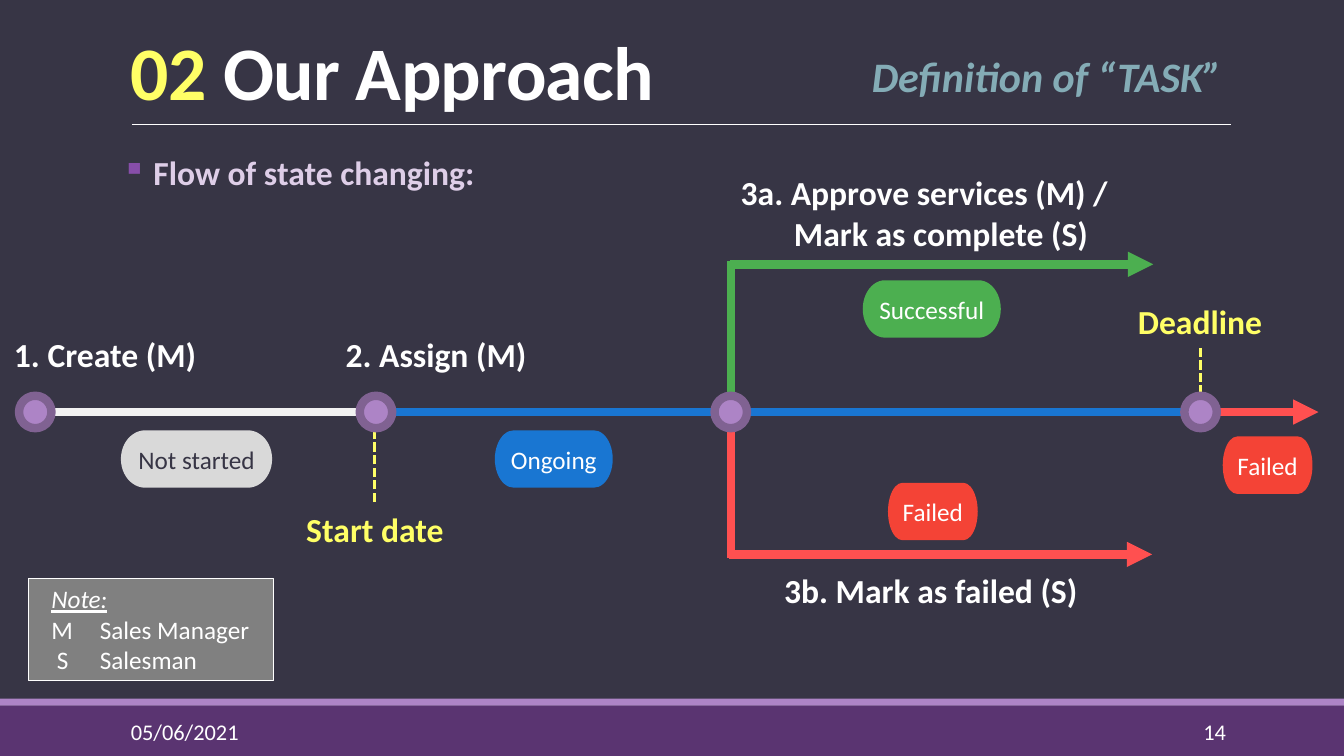
"""Build the task state flow slide."""
from dataclasses import dataclass

from lxml.etree import SubElement
from pptx import Presentation
from pptx.dml.color import RGBColor
from pptx.enum.dml import MSO_LINE
from pptx.enum.shapes import MSO_CONNECTOR, MSO_SHAPE
from pptx.enum.text import MSO_ANCHOR as Anchor, PP_ALIGN as Align
from pptx.oxml.ns import qn
from pptx.util import Pt

COLORS = {
    "background": "373545", "footer": "5A3471", "lilac": "AD84C6", "ring": "806292",
    "white": "FFFFFF", "yellow": "FFFF66", "teal": "84ACB6", "pale": "DECEE8",
    "bullet": "874EA9", "idle": "F2F2F2", "silver": "D9D9D9", "gray": "808080",
    "blue": "1976D2", "green": "4CAF50", "red": "FF5050", "failed": "F44336",
}
FONT = "Calibri"
WIDTH, HEIGHT = 960, 540
AXIS = 294.3
CREATE, ASSIGN, DECIDE, DEADLINE = 25.2, 268.6, 522, 857.6
RADIUS = 11.6
ARROW_END = 941.8


@dataclass
class Span:
    text: str
    color: str = "white"
    italic: bool = False
    underline: bool = False


@dataclass
class Para:
    spans: list[Span]
    left: float = 0
    first: float = 0
    bullet: str = ""


@dataclass
class Label:
    text: str
    left: float
    top: float
    width: float
    color: str = "white"


@dataclass
class State:
    text: str
    left: float
    top: float
    width: float
    fill: str
    color: str = "white"


@dataclass
class Stroke:
    start: tuple[float, float]
    end: tuple[float, float]
    color: str
    weight: float = 6
    arrow: bool = False
    dotted: bool = False


LABELS = [
    Label("1. Create (M)", 2.9, 234.7, 146),
    Label("2. Assign (M)", 239.8, 234.7, 145),
    Label("Start date", 211.7, 360, 114, "yellow"),
    Label("3b. Mark as failed (S)", 553, 403.2, 226),
    Label("Deadline", 805.7, 211.7, 104.4, "yellow"),
]
STATES = [
    State("Not started", 86.4, 307.4, 108, "silver", "background"),
    State("Ongoing", 353.5, 307.4, 84.2, "blue"),
    State("Successful", 616.3, 200.2, 98.6, "green"),
    State("Failed", 634.3, 344.9, 64.1, "failed"),
    State("Failed", 873.4, 311.8, 64.1, "failed"),
]
STROKES = [
    Stroke((94.3, 88.6), (879.1, 88.6), "white", 0.5),
    Stroke((CREATE + RADIUS, AXIS), (ASSIGN - RADIUS, AXIS), "idle"),
    Stroke((ASSIGN + RADIUS, AXIS), (DECIDE - RADIUS, AXIS), "blue"),
    Stroke((DECIDE + RADIUS, AXIS), (DEADLINE - RADIUS, AXIS), "blue"),
    Stroke((DEADLINE + RADIUS, AXIS), (ARROW_END, AXIS), "red", arrow=True),
    Stroke((DECIDE, 287.3), (DECIDE, 186.5), "green"),
    Stroke((DECIDE, 298.1), (DECIDE, 398.9), "red"),
    Stroke((521.3, 188.8), (823.7, 188.8), "green", arrow=True),
    Stroke((520.6, 396), (823, 396), "red", arrow=True),
    Stroke((DEADLINE, 248.4), (DEADLINE, 305.3), "yellow", 2.25, dotted=True),
    Stroke((267.8, 358.6), (267.8, 286.6), "yellow", 2.25, dotted=True),
]


def rgb(name: str) -> RGBColor:
    return RGBColor.from_string(COLORS[name])


def write(frame, paras: list[Para], *, size: float = 24, bold: bool = False,
          align=Align.LEFT, anchor=Anchor.TOP, wrap: bool = False, spacing: float = 1,
          tracking: int = 0, side_inset: float = 7.2) -> None:
    frame.word_wrap = wrap
    frame.vertical_anchor = anchor
    frame.margin_left = frame.margin_right = Pt(side_inset)
    frame.margin_top = frame.margin_bottom = Pt(3.6)
    for index, item in enumerate(paras):
        para = frame.add_paragraph() if index else frame.paragraphs[0]
        para.alignment = align
        para.line_spacing = spacing
        props = para._p.get_or_add_pPr()
        props.set("marL", str(Pt(item.left)))
        props.set("indent", str(Pt(item.first)))
        if item.bullet:
            tint = SubElement(props, qn("a:buClr"))
            SubElement(tint, qn("a:srgbClr"), val=COLORS["bullet"])
            SubElement(props, qn("a:buChar"), char=item.bullet)
        for part in item.spans:
            span = para.add_run()
            span.text = part.text
            font = span.font
            font.name, font.size, font.bold = FONT, Pt(size), bold
            font.italic, font.underline = part.italic, part.underline
            font.color.rgb = rgb(part.color)
            if tracking:
                span._r.get_or_add_rPr().set("spc", str(tracking))


def add_box(page, left: float, top: float, width: float, height: float,
            paras: list[Para], **style) -> None:
    box = page.shapes.add_textbox(Pt(left), Pt(top), Pt(width), Pt(height))
    write(box.text_frame, paras, **style)


def add_shape(page, kind, left: float, top: float, width: float, height: float,
              fill: str, line: str = "", weight: float = 0):
    shape = page.shapes.add_shape(kind, Pt(left), Pt(top), Pt(width), Pt(height))
    shape.shadow.inherit = False
    shape.fill.solid()
    shape.fill.fore_color.rgb = rgb(fill)
    if line:
        shape.line.color.rgb = rgb(line)
        shape.line.width = Pt(weight)
    else:
        shape.line.fill.background()
    return shape


def add_stroke(page, stroke: Stroke) -> None:
    ends = [Pt(value) for value in (*stroke.start, *stroke.end)]
    link = page.shapes.add_connector(MSO_CONNECTOR.STRAIGHT, *ends)
    link.line.color.rgb = rgb(stroke.color)
    link.line.width = Pt(stroke.weight)
    if stroke.dotted:
        link.line.dash_style = MSO_LINE.SQUARE_DOT
    if stroke.arrow:
        SubElement(link.line._get_or_add_ln(), qn("a:tailEnd"), type="triangle")
    SubElement(link._element.spPr, qn("a:effectLst"))


def main() -> None:
    deck = Presentation()
    deck.slide_width, deck.slide_height = Pt(WIDTH), Pt(HEIGHT)
    page = deck.slides.add_slide(deck.slide_layouts[6])
    page.background.fill.solid()
    page.background.fill.fore_color.rgb = rgb("background")

    add_shape(page, MSO_SHAPE.RECTANGLE, 0, 504, WIDTH, 36, "footer")
    add_shape(page, MSO_SHAPE.RECTANGLE, 0, 499, WIDTH, 5, "lilac")
    add_box(page, 86.4, 508.3, 194.4, 28.8, [Para([Span("05/06/2021")])],
            size=16, anchor=Anchor.MIDDLE, wrap=True)
    add_box(page, 779.8, 508.3, 103, 28.8, [Para([Span("14")])],
            size=16, align=Align.RIGHT, anchor=Anchor.MIDDLE, wrap=True)

    title = Para([Span("02 ", "yellow"), Span("Our Approach")])
    add_box(page, 86.4, 22.3, 792, 64.1, [title], size=54, bold=True,
            anchor=Anchor.BOTTOM, wrap=True, spacing=0.85, tracking=-50)
    add_box(page, 615.6, 32.4, 267.1, 43.9,
            [Para([Span("Definition of “TASK”", "teal", italic=True)])], size=30, bold=True)
    flow = Para([Span("Flow of state changing:", "pale")], 22.5, -22.5, "▪")
    add_box(page, 87.1, 108, 741.6, 40.3, [flow], bold=True, wrap=True,
            spacing=0.9, side_inset=0)

    for stroke in STROKES:
        add_stroke(page, stroke)
    for center in (CREATE, ASSIGN, DECIDE, DEADLINE):
        add_shape(page, MSO_SHAPE.OVAL, center - RADIUS, AXIS - RADIUS,
                  2 * RADIUS, 2 * RADIUS, "lilac", "ring", 6)
    for label in LABELS:
        add_box(page, label.left, label.top, label.width, 36,
                [Para([Span(label.text, label.color)])], bold=True)
    add_box(page, 522, 119.5, 279.4, 65.5,
            [Para([Span("3a. Approve services (M) /")]),
             Para([Span("Mark as complete (S)")], 38)], bold=True)
    for state in STATES:
        pill = add_shape(page, MSO_SHAPE.FLOWCHART_TERMINATOR, state.left, state.top,
                         state.width, 41, state.fill)
        write(pill.text_frame, [Para([Span(state.text, state.color)])], size=18,
              align=Align.CENTER, anchor=Anchor.MIDDLE)

    note = add_shape(page, MSO_SHAPE.RECTANGLE, 20.2, 413.3, 175, 72.7, "gray", "white", 0.75)
    write(note.text_frame,
          [Para([Span("Note:", italic=True, underline=True)], 9.4),
           Para([Span("M\tSales Manager")], 44, -34.6),
           Para([Span("S\tSalesman")], 44, -30.6)], size=18, wrap=True)
    deck.save("out.pptx")


if __name__ == "__main__":
    main()
